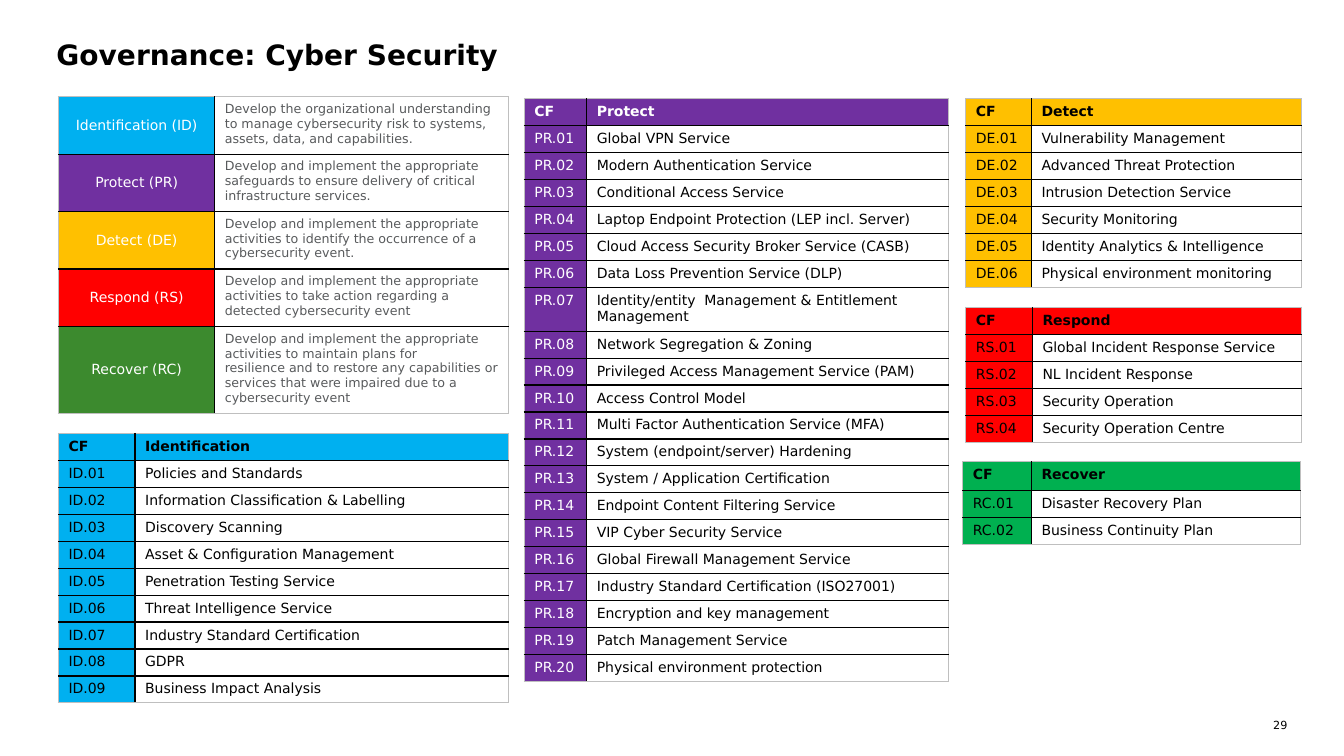
from dataclasses import dataclass

from lxml.etree import SubElement
from pptx import Presentation
from pptx.dml.color import RGBColor
from pptx.enum.text import MSO_ANCHOR, PP_ALIGN
from pptx.oxml.ns import qn
from pptx.slide import Slide
from pptx.table import _Cell
from pptx.text.text import TextFrame
from pptx.util import Inches, Pt


@dataclass(frozen=True)
class Theme:
    font: str = "DejaVu Sans"
    black: str = "000000"
    white: str = "FFFFFF"
    grey: str = "585A5C"
    edge: str = "BFBFBF"
    blue: str = "00B0F0"
    purple: str = "7030A0"
    amber: str = "FFC000"
    red: str = "FF0000"
    green: str = "00B050"
    dark_green: str = "3C8A2E"
    title_size: int = 20
    table_size: int = 10
    note_size: int = 9
    number_size: int = 8


T = Theme()
ROW_H = 0.26


@dataclass(frozen=True)
class CellStyle:
    fill: str | None
    color: str
    size: int = T.table_size
    bold: bool = False
    align: PP_ALIGN = PP_ALIGN.LEFT
    anchor: MSO_ANCHOR = MSO_ANCHOR.TOP


@dataclass(frozen=True)
class Control:
    """A table of numbered services for one security function."""
    prefix: str
    name: str
    fill: str
    left: float
    top: float
    widths: tuple[float, float]
    services: tuple[str, ...]
    code_color: str = T.black
    header_h: float = ROW_H


@dataclass(frozen=True)
class Function:
    label: str
    fill: str
    purpose: str
    height: float = 0.57


FUNCTIONS = (
    Function("Identification (ID)", T.blue,
             "Develop the organizational understanding to manage cybersecurity risk "
             "to systems, assets, data, and capabilities."),
    Function("Protect (PR)", T.purple,
             "Develop and implement the appropriate safeguards to ensure delivery of "
             "critical infrastructure services."),
    Function("Detect (DE)", T.amber,
             "Develop and implement the appropriate activities to identify the "
             "occurrence of a cybersecurity event."),
    Function("Respond (RS)", T.red,
             "Develop and implement the appropriate activities to take action "
             "regarding a detected cybersecurity event"),
    Function("Recover (RC)", T.dark_green,
             "Develop and implement the appropriate activities to maintain plans for\n"
             "resilience and to restore any capabilities or services that were "
             "impaired due to a\ncybersecurity event", 0.86),
)

CONTROLS = (
    Control("PR", "Protect", T.purple, 5.2, 0.98, (0.62, 3.59), (
        "Global VPN Service",
        "Modern Authentication Service",
        "Conditional Access Service",
        "Laptop Endpoint Protection (LEP incl. Server)",
        "Cloud Access Security Broker Service (CASB)",
        "Data Loss Prevention Service (DLP)",
        "Identity/entity  Management & Entitlement Management",
        "Network Segregation & Zoning",
        "Privileged Access Management Service (PAM)",
        "Access Control Model",
        "Multi Factor Authentication Service (MFA)",
        "System (endpoint/server) Hardening",
        "System / Application Certification",
        "Endpoint Content Filtering Service",
        "VIP Cyber Security Service",
        "Global Firewall Management Service",
        "Industry Standard Certification (ISO27001)",
        "Encryption and key management",
        "Patch Management Service",
        "Physical environment protection"), code_color=T.white),
    Control("DE", "Detect", T.amber, 9.58, 0.98, (0.65, 2.68), (
        "Vulnerability Management",
        "Advanced Threat Protection",
        "Intrusion Detection Service",
        "Security Monitoring",
        "Identity Analytics & Intelligence",
        "Physical environment monitoring")),
    Control("RS", "Respond", T.red, 9.58, 3.05, (0.66, 2.67), (
        "Global Incident Response Service",
        "NL Incident Response",
        "Security Operation",
        "Security Operation Centre")),
    Control("RC", "Recover", T.green, 9.55, 4.58, (0.68, 2.67), (
        "Disaster Recovery Plan",
        "Business Continuity Plan"), header_h=0.29),
    Control("ID", "Identification", T.blue, 0.58, 4.3, (0.76, 3.7), (
        "Policies and Standards",
        "Information Classification & Labelling",
        "Discovery Scanning",
        "Asset & Configuration Management",
        "Penetration Testing Service",
        "Threat Intelligence Service",
        "Industry Standard Certification",
        "GDPR",
        "Business Impact Analysis")),
)


def write(tf: TextFrame, text: str, style: CellStyle) -> None:
    tf.text = text
    tf.vertical_anchor = style.anchor
    for p in tf.paragraphs:
        p.alignment = style.align
        p.font.name = T.font
        p.font.size = Pt(style.size)
        p.font.bold = style.bold
        p.font.color.rgb = RGBColor.from_string(style.color)


def clear_margins(tf: TextFrame) -> None:
    tf.margin_left = tf.margin_right = tf.margin_top = tf.margin_bottom = 0


def set_borders(cell: _Cell, colors: dict[str, str]) -> None:
    """Line each side (L, R, T, B); the lines must precede the fill element."""
    tc_pr = cell._tc.get_or_add_tcPr()
    for i, (side, color) in enumerate(colors.items()):
        ln = SubElement(tc_pr, qn(f"a:ln{side}"), w=str(Pt(1)))
        fill = SubElement(ln, qn("a:solidFill"))
        SubElement(fill, qn("a:srgbClr"), val=color)
        tc_pr.insert(i, ln)


def draw_table(s: Slide, left: float, top: float, widths: tuple[float, float],
               heights: list[float],
               rows: list[list[tuple[str, CellStyle]]]) -> None:
    table = s.shapes.add_table(len(rows), len(widths), Inches(left), Inches(top),
                               Inches(sum(widths)), Inches(sum(heights))).table
    table.first_row = table.horz_banding = False
    for column, width in zip(table.columns, widths):
        column.width = Inches(width)
    last_row, last_col = len(rows) - 1, len(widths) - 1
    for r, (row, height) in enumerate(zip(rows, heights)):
        table.rows[r].height = Inches(height)
        for c, (text, style) in enumerate(row):
            cell = table.cell(r, c)
            write(cell.text_frame, text, style)
            cell.vertical_anchor = style.anchor
            if style.fill:
                cell.fill.solid()
                cell.fill.fore_color.rgb = RGBColor.from_string(style.fill)
            else:
                cell.fill.background()
            outer = {"L": c == 0, "R": c == last_col, "T": r == 0, "B": r == last_row}
            set_borders(cell, {side: T.edge if is_outer else T.black
                               for side, is_outer in outer.items()})


def draw_control(s: Slide, control: Control) -> None:
    header = CellStyle(control.fill, control.code_color, bold=True)
    code = CellStyle(control.fill, control.code_color)
    service = CellStyle(T.white, T.black)
    rows = [[("CF", header), (control.name, header)]]
    rows += [[(f"{control.prefix}.{i:02}", code), (name, service)]
             for i, name in enumerate(control.services, 1)]
    heights = [control.header_h] + [ROW_H] * len(control.services)
    draw_table(s, control.left, control.top, control.widths, heights, rows)


def draw_functions(s: Slide) -> None:
    purpose = CellStyle(None, T.grey, T.note_size)
    rows = [[(f.label, CellStyle(f.fill, T.white, align=PP_ALIGN.CENTER,
                                 anchor=MSO_ANCHOR.MIDDLE)),
             (f.purpose, purpose)] for f in FUNCTIONS]
    draw_table(s, 0.58, 0.96, (1.55, 2.91), [f.height for f in FUNCTIONS], rows)


def main() -> None:
    prs = Presentation()
    prs.slide_width, prs.slide_height = Inches(13.33), Inches(7.5)
    s = prs.slides.add_slide(prs.slide_layouts[5])

    title = s.shapes.title
    title.left, title.top = Inches(0.56), Inches(0.37)
    title.width, title.height = Inches(12.22), Inches(0.34)
    clear_margins(title.text_frame)
    write(title.text_frame, "Governance: Cyber Security",
          CellStyle(None, T.black, T.title_size, True, anchor=MSO_ANCHOR.MIDDLE))

    number = s.shapes.add_textbox(Inches(12.54), Inches(7.13), Inches(0.23), Inches(0.13))
    clear_margins(number.text_frame)
    number.text_frame.word_wrap = True
    write(number.text_frame, "29", CellStyle(None, T.black, T.number_size,
                                             align=PP_ALIGN.RIGHT, anchor=MSO_ANCHOR.MIDDLE))

    for control in CONTROLS:
        draw_control(s, control)
    draw_functions(s)
    prs.save("out.pptx")


if __name__ == "__main__":
    main()
